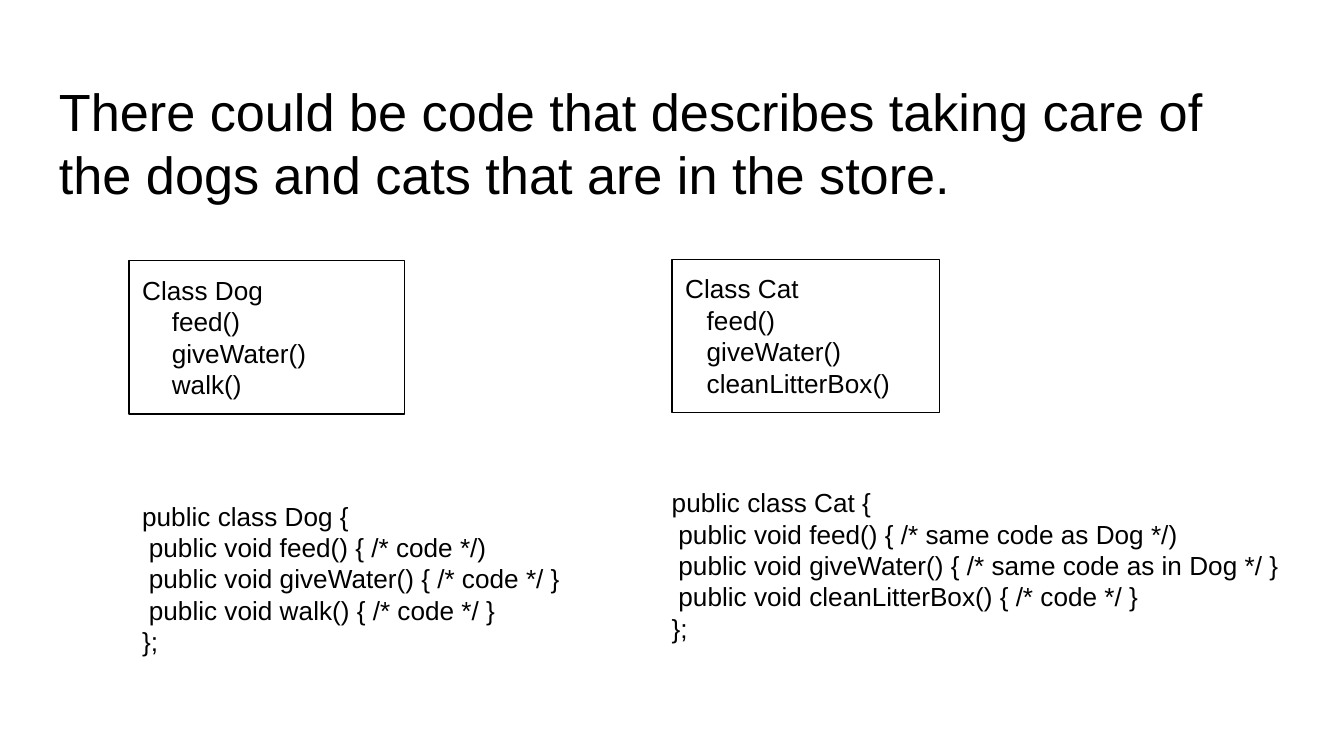
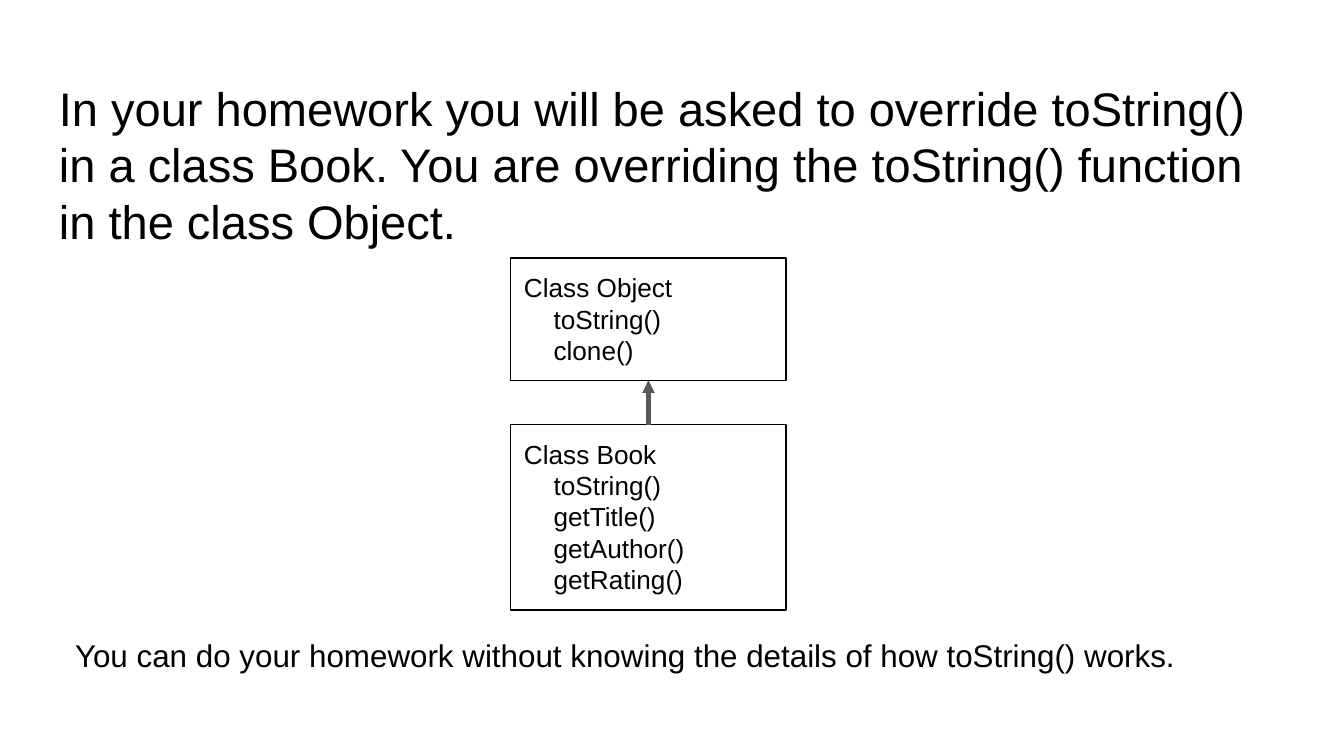
from lxml import etree
from pptx import Presentation
from pptx.dml.color import RGBColor
from pptx.enum.shapes import MSO_CONNECTOR as Connector, MSO_SHAPE as Shape
from pptx.enum.text import MSO_ANCHOR as Anchor, MSO_AUTO_SIZE as AutoSize, PP_ALIGN as Align
from pptx.oxml.ns import qn
from pptx.util import Inches, Pt

COLORS = {"text": "000000", "outline": "000000", "arrow": "595959", "paper": "FFFFFF"}
FONT = "Arial"
CODE_SIZE = 14
TITLE_BOX = (0.34, 0.49, 9.32)
MEMBER_INDENT = 0.22
STATEMENT_INDENT = 0.05


def color(name):
    """Return a palette colour."""
    return RGBColor.from_string(COLORS[name])


def write(frame, lines, size, spacing=None, grow=False):
    """Fill a text frame with (text, indent in inches) lines."""
    frame.word_wrap = True
    frame.auto_size = AutoSize.SHAPE_TO_FIT_TEXT if grow else AutoSize.NONE
    frame.vertical_anchor = Anchor.TOP
    frame.margin_left = frame.margin_right = Inches(0.1)
    frame.margin_top = frame.margin_bottom = Inches(0.1)
    for number, (text, indent) in enumerate(lines):
        paragraph = frame.add_paragraph() if number else frame.paragraphs[0]
        paragraph.alignment = Align.LEFT
        if spacing:
            paragraph.line_spacing = spacing
        if indent:
            properties = paragraph._p.get_or_add_pPr()
            properties.set("marL", str(Inches(indent)))
            properties.set("indent", "0")
        run = paragraph.add_run()
        run.text = text
        run.font.name = FONT
        run.font.size = Pt(size)
        run.font.color.rgb = color("text")


def add_text(slide, box, lines, size, **options):
    """Place a text box at box: left, top, width, height."""
    area = slide.shapes.add_textbox(*map(Inches, box))
    write(area.text_frame, lines, size, **options)


def add_title(slide, text, size, height):
    """Place the slide title."""
    add_text(slide, (*TITLE_BOX, height), [(text, 0)], size)


def add_class_box(slide, box, name, members, indent=MEMBER_INDENT):
    """Draw an outlined class with its member functions indented."""
    outline = slide.shapes.add_shape(Shape.RECTANGLE, *map(Inches, box))
    outline.shadow.inherit = False
    outline.fill.background()
    outline.line.color.rgb = color("outline")
    outline.line.width = Pt(0.75)
    lines = [(f"Class {name}", 0)] + [(f"{member}()", indent) for member in members]
    write(outline.text_frame, lines, CODE_SIZE, grow=True)
    return outline


def add_code(slide, box, name, statements):
    """Place the source code of a class."""
    lines = [(f"public class {name} {{", 0)]
    lines += [(f"public void {text}", STATEMENT_INDENT) for text in statements]
    add_text(slide, box, lines + [("};", 0)], CODE_SIZE, grow=True)


def add_inheritance_arrow(slide, child, parent):
    """Point from the top of the child class to the bottom of its parent."""
    arrow = slide.shapes.add_connector(Connector.STRAIGHT, 0, 0, 0, 0)
    arrow.begin_connect(child, 0)
    arrow.end_connect(parent, 2)
    arrow.line.color.rgb = color("arrow")
    arrow.line.width = Pt(2.25)
    etree.SubElement(arrow.line._get_or_add_ln(), qn("a:tailEnd"), type="triangle")
    etree.SubElement(arrow._element.spPr, qn("a:effectLst"))


def new_slide(deck):
    """Add a blank slide on the paper colour."""
    slide = deck.slides.add_slide(deck.slide_layouts[6])
    slide.background.fill.solid()
    slide.background.fill.fore_color.rgb = color("paper")
    return slide


def build_pet_slide(deck):
    """Compare the Dog and Cat classes and their code."""
    slide = new_slide(deck)
    add_title(slide, "There could be code that describes taking care of "
              "the dogs and cats that are in the store.", 28, 1.62)
    add_class_box(slide, (0.96, 1.94, 2.05, 1.14), "Dog", ["feed", "giveWater", "walk"])
    add_class_box(slide, (5, 1.93, 1.99, 1.14), "Cat",
                  ["feed", "giveWater", "cleanLitterBox"], indent=0.16)
    add_code(slide, (0.96, 3.62, 3.37, 1.38), "Dog", [
        "feed() { /* code */)",
        "giveWater() { /* code */ }",
        "walk() { /* code */ }",
    ])
    add_code(slide, (4.9, 3.52, 4.76, 1.38), "Cat", [
        "feed() { /* same code as Dog */)",
        "giveWater() { /* same code as in Dog */ }",
        "cleanLitterBox() { /* code */ }",
    ])


def build_override_slide(deck):
    """Show Book inheriting from Object."""
    slide = new_slide(deck)
    add_title(slide, "In your homework you will be asked to override toString() "
              "in a class Book. You are overriding the toString() function "
              "in the class Object.", 25.2, 0.63)
    book = add_class_box(slide, (3.8, 3.16, 2.05, 1.38), "Book",
                         ["toString", "getTitle", "getAuthor", "getRating"])
    base = add_class_box(slide, (3.8, 1.92, 2.05, 0.91), "Object", ["toString", "clone"])
    add_inheritance_arrow(slide, book, base)
    add_text(slide, (0.46, 4.69, 9.32, 0.63),
             [("You can do your homework without knowing the details of "
               "how toString() works.", 0)], 16.8, spacing=0.8)


deck = Presentation()
deck.slide_width = Inches(10)
deck.slide_height = deck.slide_width * 9 // 16
build_pet_slide(deck)
build_override_slide(deck)
deck.save("out.pptx")
